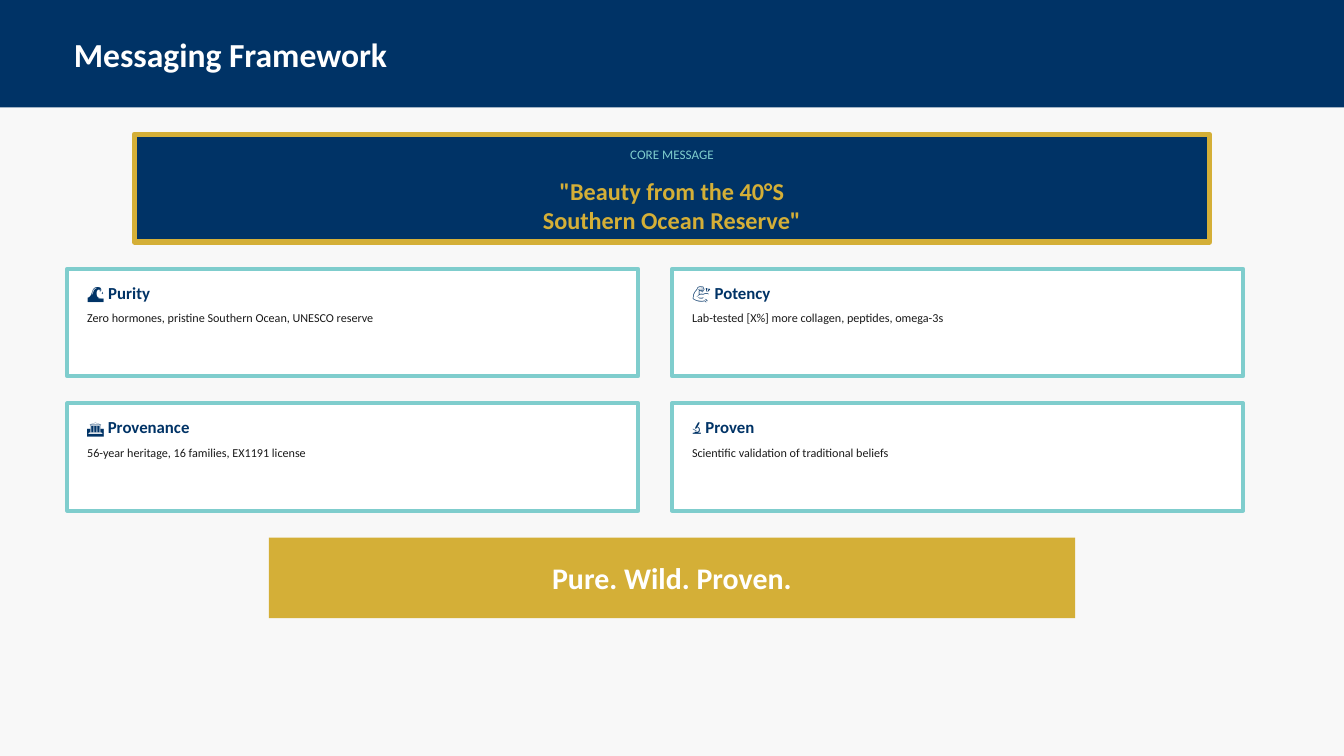
from dataclasses import dataclass

from pptx import Presentation
from pptx.dml.color import RGBColor
from pptx.enum import shapes, text
from pptx.util import Inches, Pt

NAVY = RGBColor(0x00, 0x33, 0x66)
GOLD = RGBColor(0xD4, 0xAF, 0x37)
AQUA = RGBColor(0x7F, 0xCD, 0xCD)
WHITE = RGBColor(0xFF, 0xFF, 0xFF)
INK = RGBColor(0x1A, 0x1A, 0x1A)
PAPER = RGBColor(0xF8, 0xF8, 0xF8)
LEFT = text.PP_ALIGN.LEFT
CENTER = text.PP_ALIGN.CENTER


@dataclass(frozen=True)
class Box:
    x: float
    y: float
    w: float
    h: float


@dataclass(frozen=True)
class Style:
    size: float
    color: RGBColor
    bold: bool = True
    align: text.PP_ALIGN = LEFT


@dataclass(frozen=True)
class Pillar:
    title: str
    detail: str


TITLE = Style(36, WHITE)
LABEL = Style(14, AQUA, bold=False, align=CENTER)
MESSAGE = Style(26, GOLD, align=CENTER)
HEADING = Style(18, NAVY)
DETAIL = Style(13, INK, bold=False)
TAGLINE = Style(32, WHITE, align=CENTER)

PILLARS = [
    Pillar("🌊 Purity", "Zero hormones, pristine Southern Ocean, UNESCO reserve"),
    Pillar("💪 Potency", "Lab-tested [X%] more collagen, peptides, omega-3s"),
    Pillar("🏛️ Provenance", "56-year heritage, 16 families, EX1191 license"),
    Pillar("🔬 Proven", "Scientific validation of traditional beliefs"),
]


def add_panel(s, box: Box, fill: RGBColor, line: RGBColor | None = None,
              weight: float = 0) -> None:
    sp = s.shapes.add_shape(shapes.MSO_SHAPE.RECTANGLE, Inches(box.x), Inches(box.y),
                            Inches(box.w), Inches(box.h))
    sp.shadow.inherit = False
    sp.fill.solid()
    sp.fill.fore_color.rgb = fill
    if line is None:
        sp.line.fill.background()
    else:
        sp.line.color.rgb = line
        sp.line.width = Pt(weight)


def add_text(s, box: Box, lines: list[str], style: Style) -> None:
    sp = s.shapes.add_textbox(Inches(box.x), Inches(box.y), Inches(box.w), Inches(box.h))
    tf = sp.text_frame
    tf.word_wrap = True
    tf.vertical_anchor = text.MSO_ANCHOR.MIDDLE
    for i, line in enumerate(lines):
        p = tf.add_paragraph() if i else tf.paragraphs[0]
        p.alignment = style.align
        r = p.add_run()
        r.text = line
        r.font.name = "Calibri"
        r.font.size = Pt(style.size)
        r.font.bold = style.bold
        r.font.color.rgb = style.color


def add_pillar(s, x: float, y: float, pillar: Pillar) -> None:
    add_panel(s, Box(x, y, 8.5, 1.6), WHITE, AQUA, 4)
    add_text(s, Box(x + 0.2, y + 0.1, 7.7, 0.5), [pillar.title], HEADING)
    add_text(s, Box(x + 0.2, y + 0.38, 7.7, 0.7), [pillar.detail], DETAIL)


def main() -> None:
    prs = Presentation()
    prs.slide_width = Inches(20)
    prs.slide_height = Inches(11.25)
    s = prs.slides.add_slide(prs.slide_layouts[6])
    s.background.fill.solid()
    s.background.fill.fore_color.rgb = PAPER

    add_panel(s, Box(0, 0, 20, 1.6), NAVY)
    add_text(s, Box(1, 0.4, 18, 0.8), ["Messaging Framework"], TITLE)

    add_panel(s, Box(2, 2, 16, 1.6), NAVY, GOLD, 6)
    add_text(s, Box(2, 2.1, 16, 0.4), ["CORE MESSAGE"], LABEL)
    add_text(s, Box(2, 2.6, 16, 0.9),
             ['"Beauty from the 40°S', 'Southern Ocean Reserve"'], MESSAGE)

    for i, pillar in enumerate(PILLARS):
        row, col = divmod(i, 2)
        add_pillar(s, 1 + 9 * col, 4 + 2 * row, pillar)

    add_panel(s, Box(4, 8, 12, 1.2), GOLD)
    add_text(s, Box(4, 8.2, 12, 0.8), ["Pure. Wild. Proven."], TAGLINE)

    prs.save("out.pptx")


if __name__ == "__main__":
    main()
